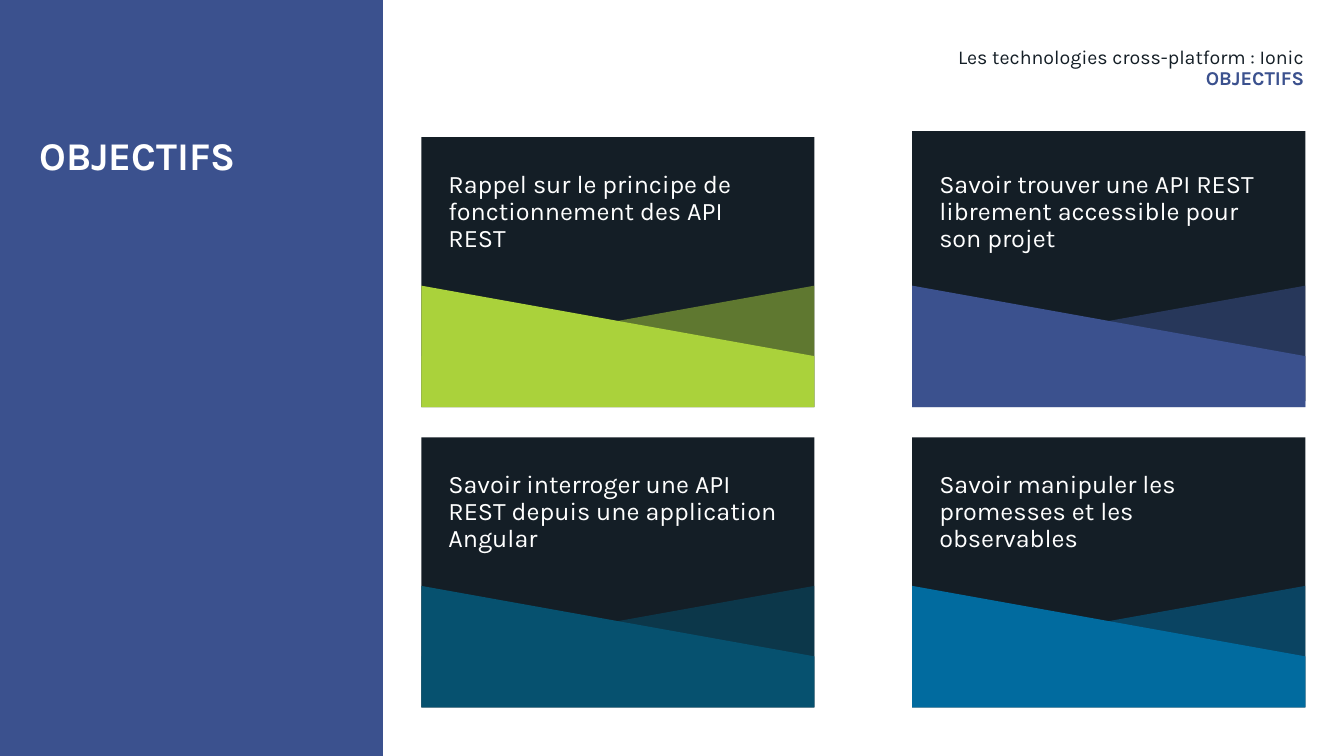
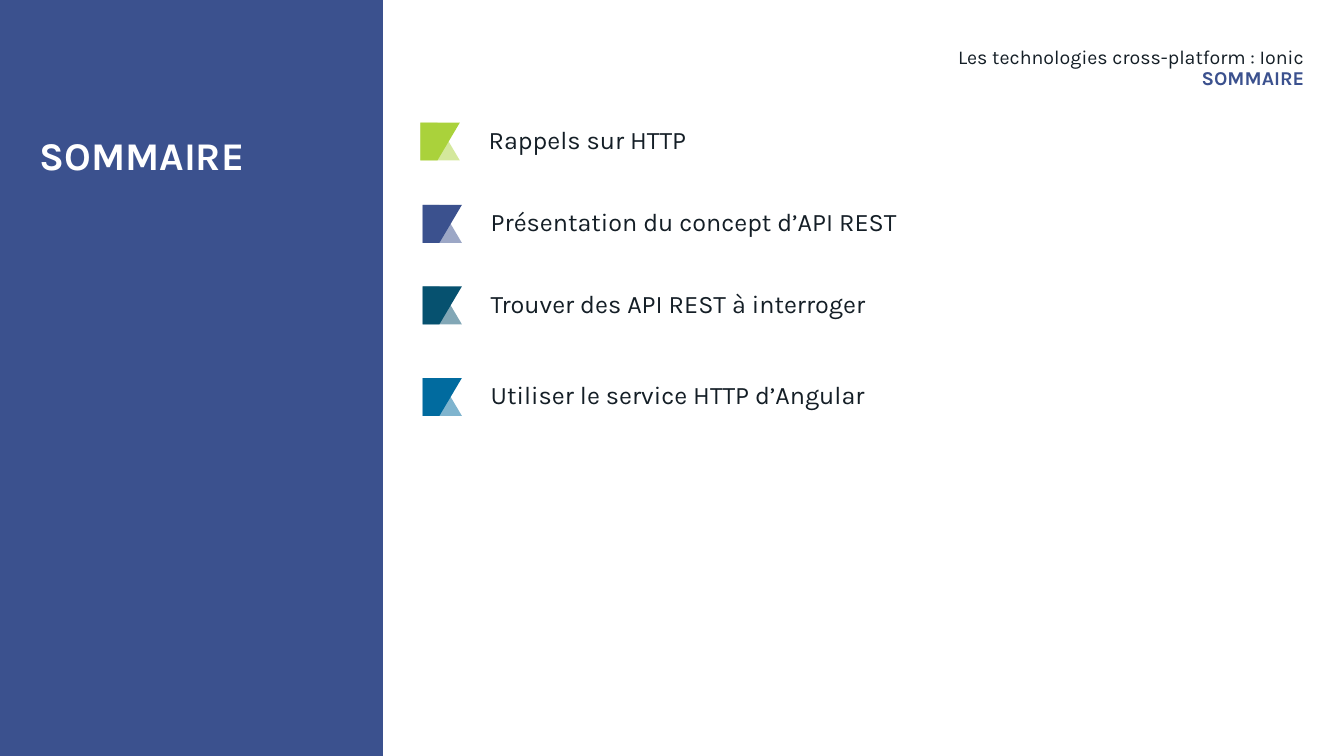
from dataclasses import dataclass

from pptx import Presentation
from pptx.dml.color import RGBColor
from pptx.enum.shapes import MSO_SHAPE as Preset
from pptx.enum.text import MSO_AUTO_SIZE as AutoSize, PP_ALIGN as Align
from pptx.oxml.ns import qn
from pptx.oxml.xmlchemy import OxmlElement
from pptx.util import Inches, Pt

UNIT = Inches(7.5) / 90  # the slide is a grid of 160 columns by 90 rows
COURSE = "Les technologies cross-platform : Ionic"


@dataclass(frozen=True)
class Theme:
    font: str = "Karla"
    ink: str = "141E26"
    paper: str = "FFFFFF"
    brand: str = "3B518E"
    accents: tuple = ("AAD23B", "3B518E", "06516F", "016B9F")
    title: int = 28
    body: int = 18
    header: int = 14
    line_spacing: float = 0.9


@dataclass(frozen=True)
class Box:
    """A rectangle in grid columns and rows."""
    left: float
    top: float
    width: float
    height: float

    def emu(self):
        return [round(n * UNIT) for n in (self.left, self.top, self.width, self.height)]

    def point(self, x, y):
        """Slide position of a point given as shares of the box."""
        return (round((self.left + x * self.width) * UNIT),
                round((self.top + y * self.height) * UNIT))


THEME = Theme()
PANEL = Box(0, 0, 45.6, 90)
HEADER = Box(50.16, 5.64, 105.12, 7)
CARDS = Box(50.16, 16.32, 105.24, 67.9)
AGENDA = Box(50.06, 14.6, 93.6, 35)


def paint(shape, color, alpha=None):
    shape.shadow.inherit = False
    shape.fill.solid()
    shape.fill.fore_color.rgb = RGBColor.from_string(color)
    if alpha is not None:
        opacity = OxmlElement("a:alpha")
        opacity.set("val", str(alpha * 1000))
        shape.element.spPr.find(qn("a:solidFill"))[0].append(opacity)
    shape.line.fill.background()


def add_block(shapes, box, color):
    paint(shapes.add_shape(Preset.RECTANGLE, *box.emu()), color)


def add_outline(shapes, box, points, color, alpha=None):
    """Closed polygon whose points are shares of the box."""
    start, *others = [box.point(x, y) for x, y in points]
    builder = shapes.build_freeform(*start, scale=1.0)
    builder.add_line_segments(others, close=True)
    paint(builder.convert_to_shape(), color, alpha)


def add_text(page, box, lines, size, align=Align.LEFT, inset=True):
    """Each line is (text, color, bold)."""
    frame = page.shapes.add_textbox(*box.emu()).text_frame
    frame.word_wrap = True
    if inset:
        frame.auto_size = AutoSize.SHAPE_TO_FIT_TEXT
    else:
        frame.margin_left = frame.margin_right = 0
        frame.margin_top = frame.margin_bottom = 0
    frame.text = "\n".join(text for text, _, _ in lines)
    for para, (_, color, bold) in zip(frame.paragraphs, lines):
        para.alignment = align
        para.line_spacing = THEME.line_spacing
        for span in para.runs:
            span.font.name = THEME.font
            span.font.size = Pt(size)
            span.font.bold = bold
            span.font.color.rgb = RGBColor.from_string(color)


def add_side_panel(page, box, title):
    add_block(page.shapes, box, THEME.brand)
    inner = Box(box.left + 4.68, box.top + 16.32, box.width - 8.16, 58)
    add_text(page, inner, [(title, THEME.paper, True)], THEME.title, inset=False)


def add_header(page, box, title):
    lines = [(COURSE, THEME.ink, False), (title, THEME.brand, True)]
    add_text(page, box, lines, THEME.header, Align.RIGHT, inset=False)


def add_page(deck, title):
    page = deck.slides.add_slide(deck.slide_layouts[6])
    add_side_panel(page, PANEL, title)
    add_header(page, HEADER, title)
    return page


def add_card(page, box, text, color, lift):
    """Dark card with two crossing slopes; lift raises its dark part."""
    add_block(page.shapes, Box(box.left, box.top - lift, box.width, box.height), THEME.ink)
    band = Box(box.left, box.top + 0.55 * box.height, box.width, 0.45 * box.height)
    rising = [(0, 0.58), (1, 0), (1, 1), (0, 1)]
    add_outline(page.shapes, band, rising, color, alpha=50)
    add_outline(page.shapes, band, [(1 - x, y) for x, y in rising], color)
    label = Box(box.left + 2.04, box.top + 3.5, 42, 11)
    add_text(page, label, [(text, THEME.paper, False)], THEME.body)


def add_card_grid(page, box, texts):
    width, height = 46.8, 32.16
    for index, (text, color) in enumerate(zip(texts, THEME.accents)):
        row, column = divmod(index, 2)
        card = Box(box.left + column * (box.width - width),
                   box.top + row * (box.height - height), width, height)
        add_card(page, card, text, color, lift=0.72 if index == 1 else 0)


def add_agenda_item(page, box, text, color):
    icon = Box(box.left, box.top, 4.68, box.height)
    flag = [(0, 0), (1, 0), (0.43, 1), (0, 1)]
    group = page.shapes.add_group_shape()
    add_outline(group.shapes, icon, [(x, 1 - y) for x, y in flag], color, alpha=50)
    add_outline(group.shapes, icon, flag, color)
    label = Box(box.left + 6.94, box.top, box.width - 6.94, box.height)
    add_text(page, label, [(text, THEME.ink, False)], THEME.body)


def add_agenda(page, box, texts):
    offsets = [(0, 0), (0.24, 9.8), (0.24, 19.5), (0.24, 30.4)]
    for text, color, (dx, dy) in zip(texts, THEME.accents, offsets):
        item = Box(box.left + dx, box.top + dy, box.width, 4.5)
        add_agenda_item(page, item, text, color)


def main():
    deck = Presentation()
    deck.slide_width, deck.slide_height = round(160 * UNIT), round(90 * UNIT)
    add_card_grid(add_page(deck, "OBJECTIFS"), CARDS, [
        "Rappel sur le principe de fonctionnement des API REST",
        "Savoir trouver une API REST librement accessible pour son projet",
        "Savoir interroger une API REST depuis une application Angular",
        "Savoir manipuler les promesses et les observables",
    ])
    add_agenda(add_page(deck, "SOMMAIRE"), AGENDA, [
        "Rappels sur HTTP",
        "Présentation du concept d’API REST",
        "Trouver des API REST à interroger",
        "Utiliser le service HTTP d’Angular",
    ])
    deck.save("out.pptx")


if __name__ == "__main__":
    main()
